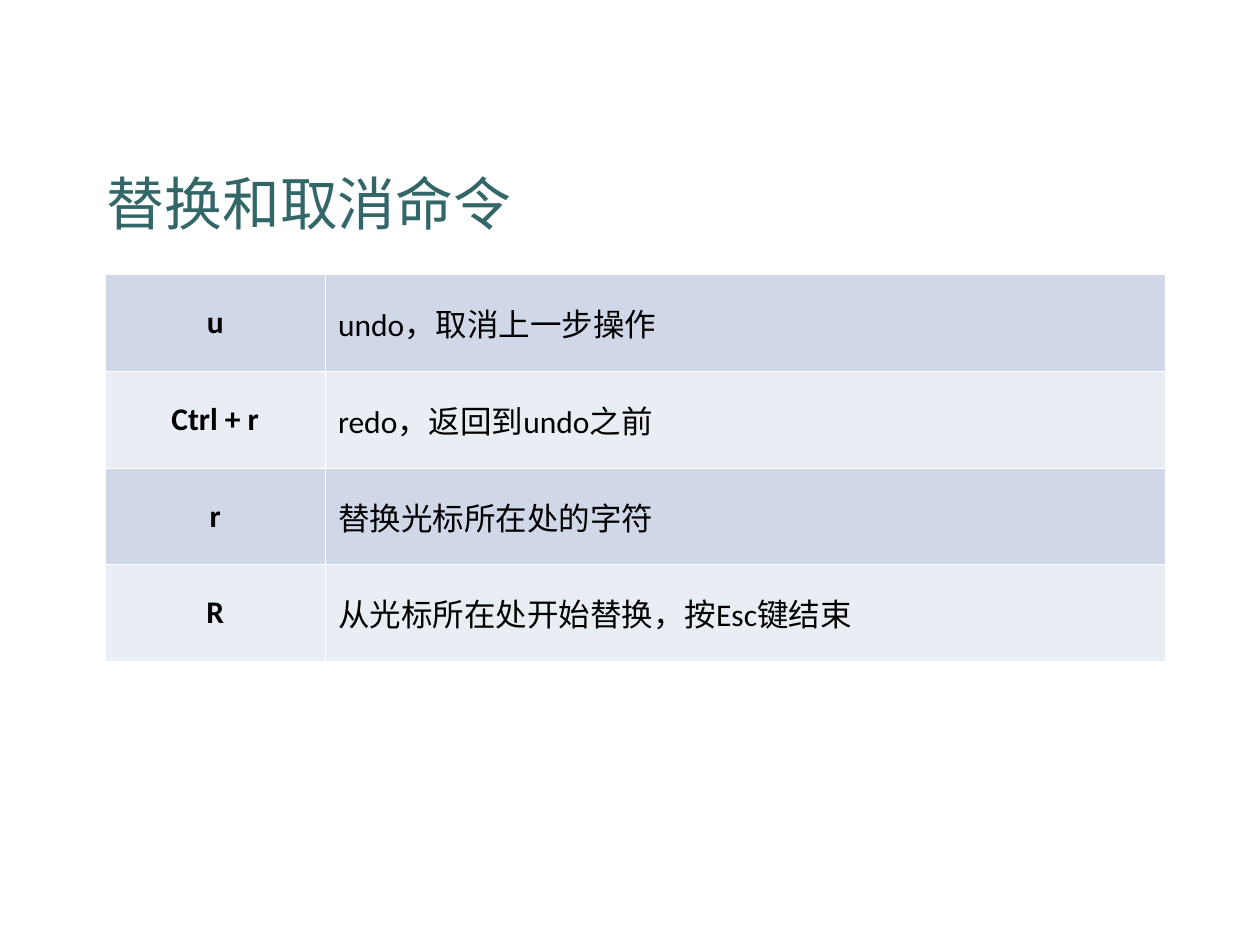
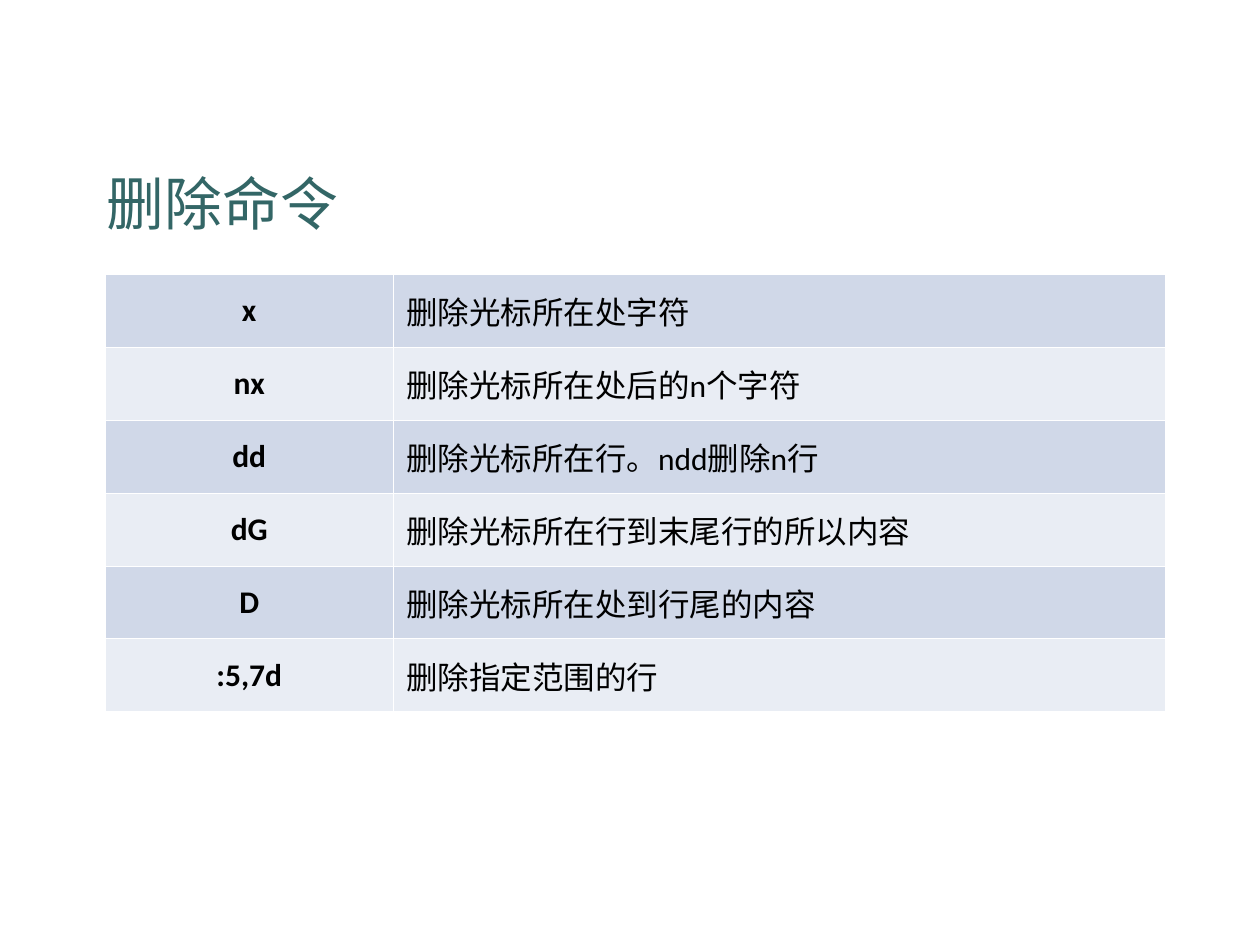
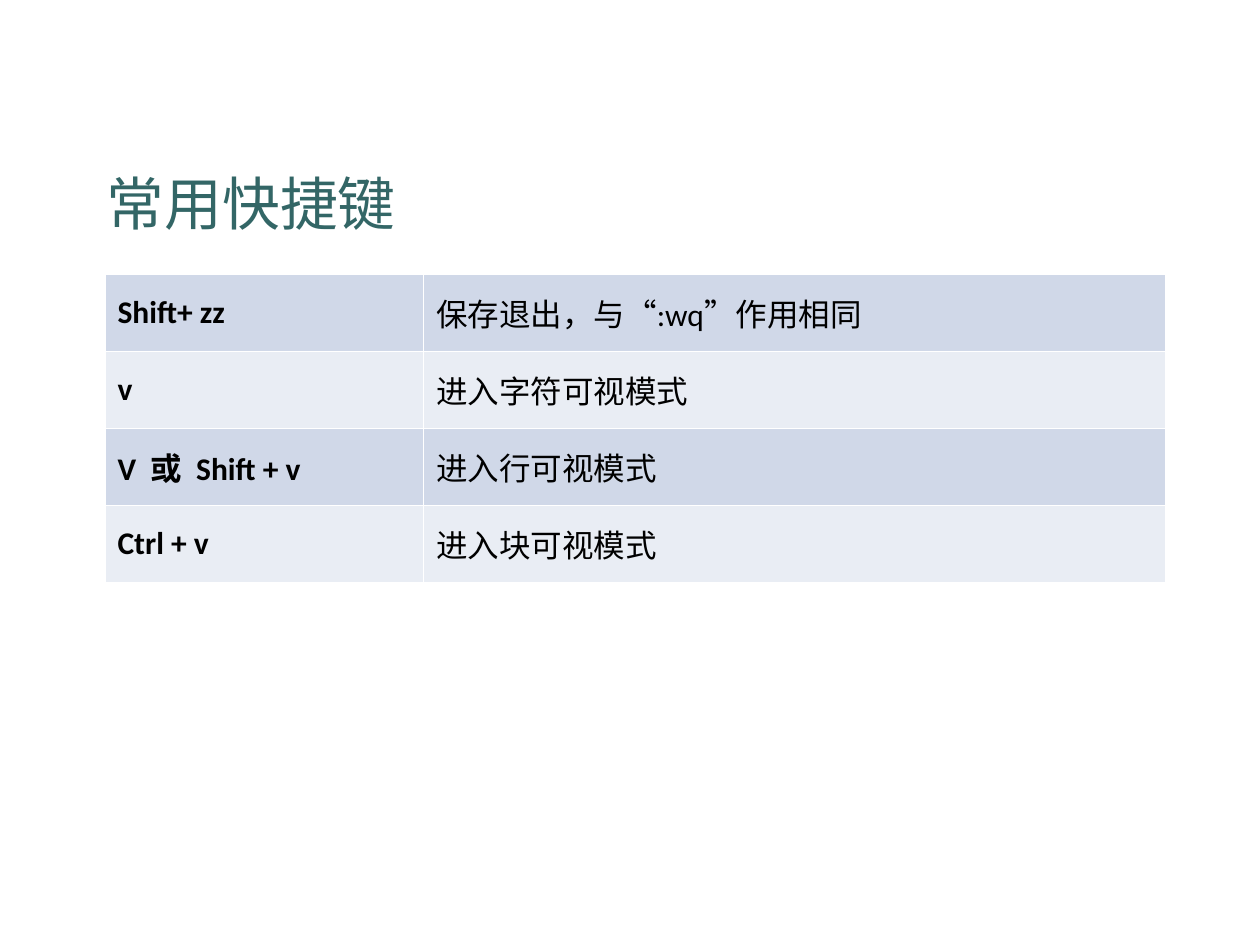
import dataclasses

import pptx
import pptx.dml.color
import pptx.enum.text
import pptx.oxml
import pptx.oxml.ns
import pptx.util

ALIGN = pptx.enum.text.PP_ALIGN
ANCHOR = pptx.enum.text.MSO_ANCHOR


@dataclasses.dataclass(frozen=True)
class Theme:
    """Colours, fonts, type sizes and places (in percent of the slide) that the slides share."""

    title_color: str = "336666"
    text_color: str = "000000"
    bands: tuple = ("D0D8E8", "E9EDF4")
    rule_color: str = "FFFFFF"
    rule_width: float = 0.45
    title_font: str = "Montserrat"
    body_font: str = "Calibri"
    quote_font: str = "Arial"
    title_size: int = 33
    body_size: int = 18
    space_before: float = 4.5
    title_box: tuple = (7.5, 4.8, 84.2, 20.93)
    table_left: float = 8.33
    table_top: float = 29.07
    table_width: float = 84.2


THEME = Theme()
SLIDE_WIDTH = pptx.util.Inches(10)
SLIDE_HEIGHT = pptx.util.Inches(7.5)


def across(percent):
    """Return a share of the slide's width."""
    return round(SLIDE_WIDTH * percent / 100)


def down(percent):
    """Return a share of the slide's height."""
    return round(SLIDE_HEIGHT * percent / 100)


def add_run(paragraph, wording, font, size, color, bold=False):
    """Append one styled run to a paragraph."""
    run = paragraph.add_run()
    run.text = wording
    run.font.name = font
    run.font.size = pptx.util.Pt(size)
    run.font.bold = bold
    run.font.color.rgb = pptx.dml.color.RGBColor.from_string(color)


def add_title(slide, wording):
    """Place the slide's heading at the bottom of the title area."""
    left, top, width, height = THEME.title_box
    heading = slide.shapes.add_textbox(across(left), down(top), across(width), down(height))
    heading.text_frame.word_wrap = True
    heading.text_frame.vertical_anchor = ANCHOR.BOTTOM
    add_run(heading.text_frame.paragraphs[0], wording,
            THEME.title_font, THEME.title_size, THEME.title_color)


def rule_cell(cell):
    """Draw thin rules on all four sides of a cell."""
    properties = cell._tc.get_or_add_tcPr()
    for side in ("lnL", "lnR", "lnT", "lnB"):
        properties.append(pptx.oxml.parse_xml(
            f'<a:{side} {pptx.oxml.ns.nsdecls("a")} w="{pptx.util.Pt(THEME.rule_width)}">'
            f'<a:solidFill><a:srgbClr val="{THEME.rule_color}"/></a:solidFill></a:{side}>'))


def fill_cell(cell, pieces, band, align, bold):
    """Write text pieces into a ruled cell with its band colour."""
    rule_cell(cell)
    cell.fill.solid()
    cell.fill.fore_color.rgb = pptx.dml.color.RGBColor.from_string(band)
    cell.vertical_anchor = ANCHOR.MIDDLE
    paragraph = cell.text_frame.paragraphs[0]
    paragraph.alignment = align
    paragraph.space_before = pptx.util.Pt(THEME.space_before)
    for piece in pieces:
        font = THEME.quote_font if piece in "“”" else THEME.body_font
        add_run(paragraph, piece, font, THEME.body_size, THEME.text_color, bold)


def add_commands(slide, commands, key_width, row_height, key_align):
    """Add a banded table of keys and their meanings."""
    table = slide.shapes.add_table(
        len(commands), 2, across(THEME.table_left), down(THEME.table_top),
        across(THEME.table_width), down(row_height * len(commands))).table
    table.first_row = False
    table.horz_banding = False
    table.columns[0].width = across(key_width)
    table.columns[1].width = across(THEME.table_width - key_width)
    for index, (key, *meaning) in enumerate(commands):
        band = THEME.bands[index % 2]
        table.rows[index].height = down(row_height)
        fill_cell(table.cell(index, 0), [key], band, key_align, True)
        fill_cell(table.cell(index, 1), meaning, band, ALIGN.LEFT, False)


def add_command_slide(deck, title, commands, key_width, row_height, key_align=ALIGN.CENTER):
    """Add a slide with a heading above a table of commands."""
    slide = deck.slides.add_slide(deck.slide_layouts[6])
    add_title(slide, title)
    add_commands(slide, commands, key_width, row_height, key_align)


def main():
    """Build the three command slides and save them."""
    deck = pptx.Presentation()
    deck.slide_width = SLIDE_WIDTH
    deck.slide_height = SLIDE_HEIGHT
    add_command_slide(deck, "替换和取消命令", [
        ("u", "undo，取消上一步操作"),
        ("Ctrl + r", "redo，返回到undo之前"),
        ("r", "替换光标所在处的字符"),
        ("R", "从光标所在处开始替换，按Esc键结束"),
    ], key_width=17.5, row_height=10.23)
    add_command_slide(deck, "删除命令", [
        ("x", "删除光标所在处字符"),
        ("nx", "删除光标所在处后的n个字符"),
        ("dd", "删除光标所在行。ndd删除n行"),
        ("dG", "删除光标所在行到末尾行的所以内容"),
        ("D", "删除光标所在处到行尾的内容"),
        (":5,7d", "删除指定范围的行"),
    ], key_width=22.9, row_height=7.71)
    add_command_slide(deck, "常用快捷键", [
        ("Shift+ zz", "保存退出，与", "“", ":wq", "”", "作用相同"),
        ("v", "进入字符可视模式"),
        ("V  或  Shift + v", "进入行可视模式"),
        ("Ctrl + v", "进入块可视模式"),
    ], key_width=25.3, row_height=8.13, key_align=ALIGN.LEFT)
    deck.save("out.pptx")


if __name__ == "__main__":
    main()
